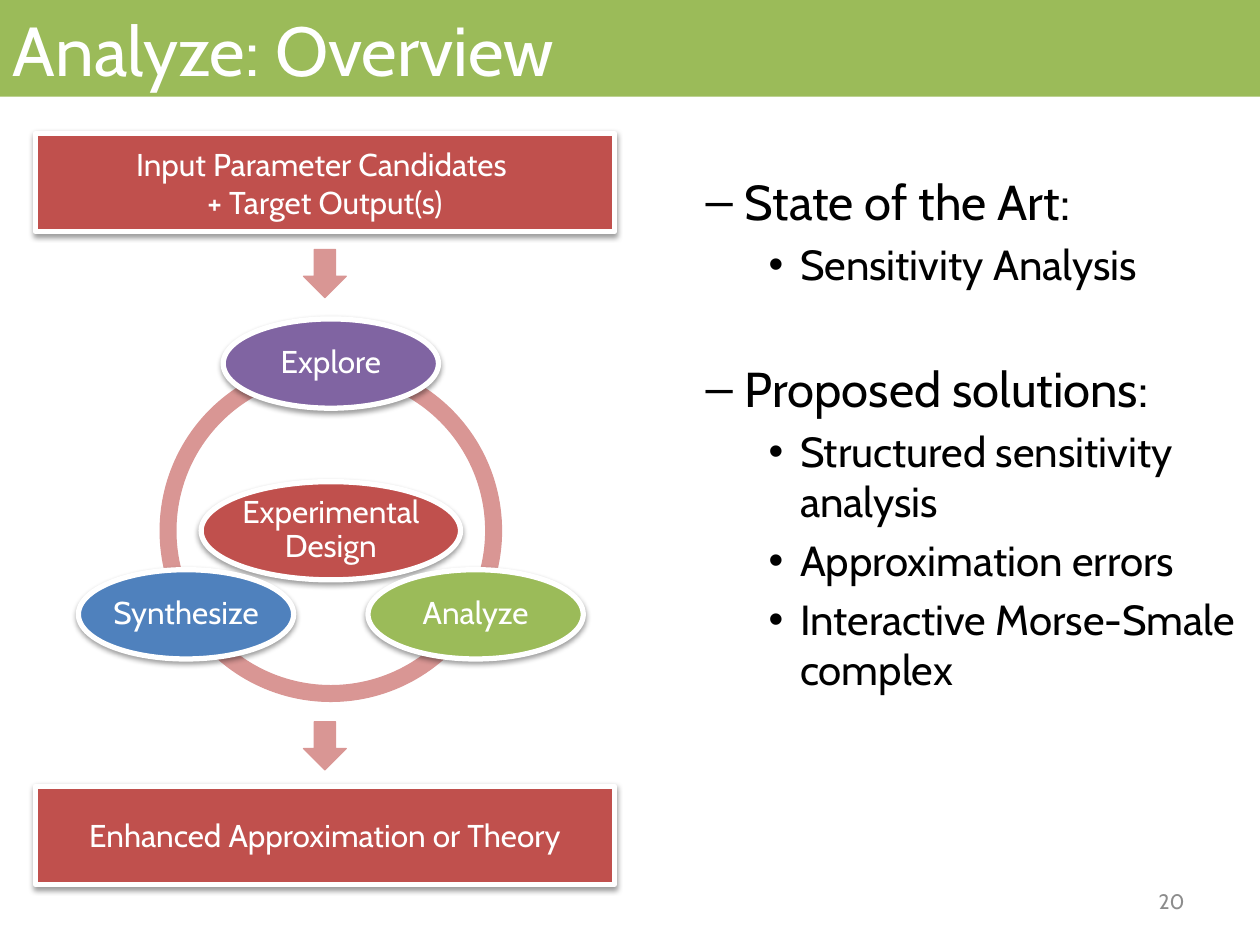
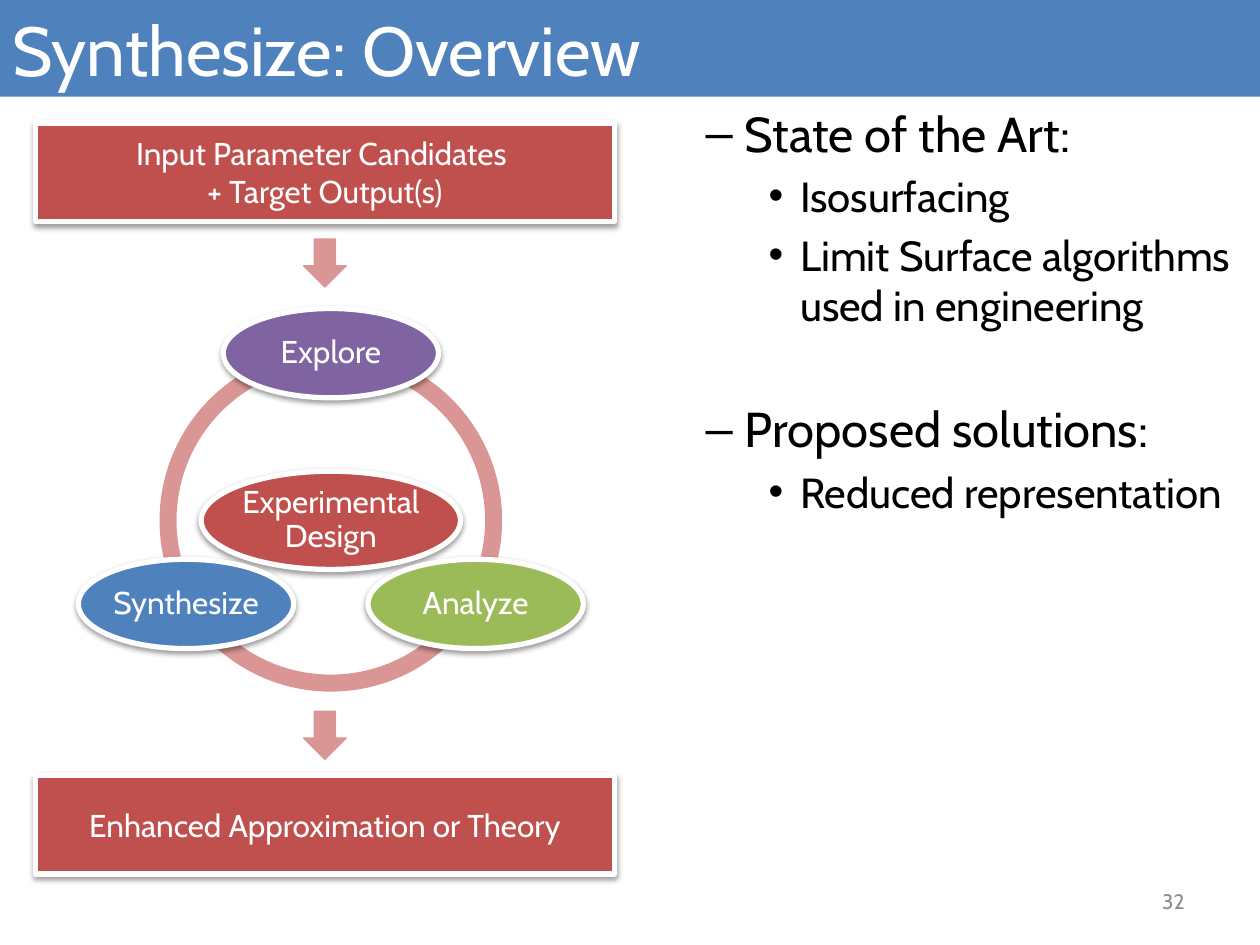
from dataclasses import dataclass
from math import cos, radians, sin

from lxml.etree import SubElement
from pptx import Presentation
from pptx.dml.color import RGBColor
from pptx.enum.shapes import MSO_SHAPE as SHAPE
from pptx.enum.text import MSO_ANCHOR as ANCHOR, MSO_AUTO_SIZE as AUTOSIZE, PP_ALIGN as ALIGN
from pptx.oxml.ns import qn
from pptx.util import Cm, Pt


@dataclass(frozen=True)
class Theme:
    font: str = "Cabin"
    white: str = "FFFFFF"
    black: str = "000000"
    gray: str = "8C8C8C"
    red: str = "C0504D"
    pink: str = "D99694"
    purple: str = "8064A2"
    green: str = "9BBB59"
    blue: str = "4F81BD"
    title: float = 39.6
    heading: float = 28
    bullet: float = 24
    label: float = 18
    number: float = 12


T = Theme()
WIDTH, HEIGHT, BAND = 25.4, 19.05, 1.95
BOX_W, BOX_H = 11.68, 1.98
BOX_X, RING_X = 6.55, 6.67
RING_SIZE, ORBIT = 6.88, 3.37


def rgb(color):
    return RGBColor.from_string(color)


def place(sp, x, y, w, h):
    sp.left, sp.top, sp.width, sp.height = Cm(x), Cm(y), Cm(w), Cm(h)


def write(tf, text, size=T.label, color=T.white, align=ALIGN.LEFT, level=0,
          before=0, spacing=None, new=False):
    p = tf.add_paragraph() if new else tf.paragraphs[0]
    p.level, p.alignment, p.space_before = level, align, Pt(before)
    if spacing:
        p.line_spacing = spacing
    r = p.add_run()
    r.text = text
    r.font.name, r.font.size, r.font.color.rgb = T.font, Pt(size), rgb(color)


def add_shape(group, kind, cx, y, w, h, fill, line=None, weight=0.75):
    sp = group.shapes.add_shape(kind, Cm(cx - w / 2), Cm(y), Cm(w), Cm(h))
    sp.fill.solid()
    sp.fill.fore_color.rgb = rgb(fill)
    sp.line.color.rgb = rgb(line or fill)
    sp.line.width = Pt(weight)
    sp.shadow.inherit = False
    return sp


def add_card(group, kind, cx, y, w, h, fill, lines, inset=0.25, spacing=None):
    sp = add_shape(group, kind, cx, y, w, h, fill, T.white, 3)
    effects = sp._element.spPr.find(qn("a:effectLst"))
    shadow = SubElement(effects, qn("a:outerShdw"), blurRad="40000", dist="20000",
                        dir="5400000", rotWithShape="0")
    color = SubElement(shadow, qn("a:srgbClr"), val=T.black)
    SubElement(color, qn("a:alpha"), val="38000")
    tf = sp.text_frame
    tf.word_wrap, tf.vertical_anchor = True, ANCHOR.MIDDLE
    tf.margin_left = tf.margin_right = Cm(inset)
    tf.margin_top = tf.margin_bottom = Cm(inset / 2)
    for i, text in enumerate(lines):
        write(tf, text, align=ALIGN.CENTER, spacing=spacing, new=i > 0)


def add_oval(group, cx, cy, w, h, fill, text):
    add_card(group, SHAPE.OVAL, cx, cy - h / 2, w, h, fill, [text], inset=0, spacing=0.9)


def add_ring(group, cy):
    for start, end in [(90, 162), (18, 90), (162, 18)]:
        arc = add_shape(group, SHAPE.BLOCK_ARC, RING_X, cy - RING_SIZE / 2,
                        RING_SIZE, RING_SIZE, T.pink)
        for i, value in enumerate((start * 0.6, end * 0.6, 0.046)):
            arc.adjustments[i] = value


def add_workflow(s, top):
    group = s.shapes.add_group_shape()
    center = top + 8.01
    add_ring(group, center)
    add_oval(group, RING_X, center, 5.23, 1.98, T.red, "Experimental Design")
    steps = [("Explore", T.purple), ("Analyze", T.green), ("Synthesize", T.blue)]
    for i, (step, color) in enumerate(steps):
        angle = radians(120 * i - 90)
        add_oval(group, RING_X + ORBIT * cos(angle), center + ORBIT * sin(angle),
                 4.34, 1.8, color, step)
    boxes = [(0, ["Input Parameter Candidates ", "+ Target Output(s)"]),
             (13.16, ["Enhanced Approximation or Theory"])]
    for dy, lines in boxes:
        add_card(group, SHAPE.RECTANGLE, BOX_X, top + dy, BOX_W, BOX_H, T.red, lines)
    for dy in (2.34, 11.86):
        add_shape(group, SHAPE.DOWN_ARROW, BOX_X, top + dy, 0.86, 0.97, T.pink)


def add_title(s, text, color):
    sp = s.shapes.title
    place(sp, 0, 0, WIDTH, BAND)
    sp.fill.solid()
    sp.fill.fore_color.rgb = rgb(color)
    tf = sp.text_frame
    tf.auto_size, tf.vertical_anchor = AUTOSIZE.NONE, ANCHOR.MIDDLE
    write(tf, text, size=T.title)


def add_outline(s, sections, top):
    sp = s.placeholders[1]
    place(sp, WIDTH / 2, top, WIDTH / 2, HEIGHT - top)
    tf = sp.text_frame
    tf.auto_size = AUTOSIZE.NONE
    for i, (heading, bullets) in enumerate(sections):
        write(tf, heading, size=T.heading, color=T.black, level=1,
              before=39.5 if i else 0, new=i > 0)
        for bullet in bullets:
            write(tf, bullet, size=T.bullet, color=T.black, level=2,
                  before=T.bullet * 0.2, new=True)


def add_number(s, number):
    tf = s.shapes.add_textbox(Cm(18.21), Cm(17.65), Cm(5.92), Cm(1.02)).text_frame
    tf.word_wrap, tf.vertical_anchor = True, ANCHOR.MIDDLE
    write(tf, number, size=T.number, color=T.gray, align=ALIGN.RIGHT)


def add_overview(prs, title, color, number, sections, outline_top, workflow_top):
    s = prs.slides.add_slide(prs.slide_layouts[1])
    add_title(s, title, color)
    add_outline(s, sections, outline_top)
    add_number(s, number)
    add_workflow(s, workflow_top)


def main():
    prs = Presentation()
    prs.slide_width, prs.slide_height = Cm(WIDTH), Cm(HEIGHT)
    add_overview(prs, "Analyze: Overview", T.green, "20", [
        ("State of the Art:", ["Sensitivity Analysis"]),
        ("Proposed solutions:", ["Structured sensitivity analysis",
                                 "Approximation errors",
                                 "Interactive Morse-Smale complex"]),
    ], outline_top=3.33, workflow_top=2.69)
    add_overview(prs, "Synthesize: Overview", T.blue, "32", [
        ("State of the Art:", ["Isosurfacing",
                               "Limit Surface algorithms used in engineering"]),
        ("Proposed solutions:", ["Reduced representation"]),
    ], outline_top=BAND, workflow_top=2.48)
    prs.save("out.pptx")


if __name__ == "__main__":
    main()
